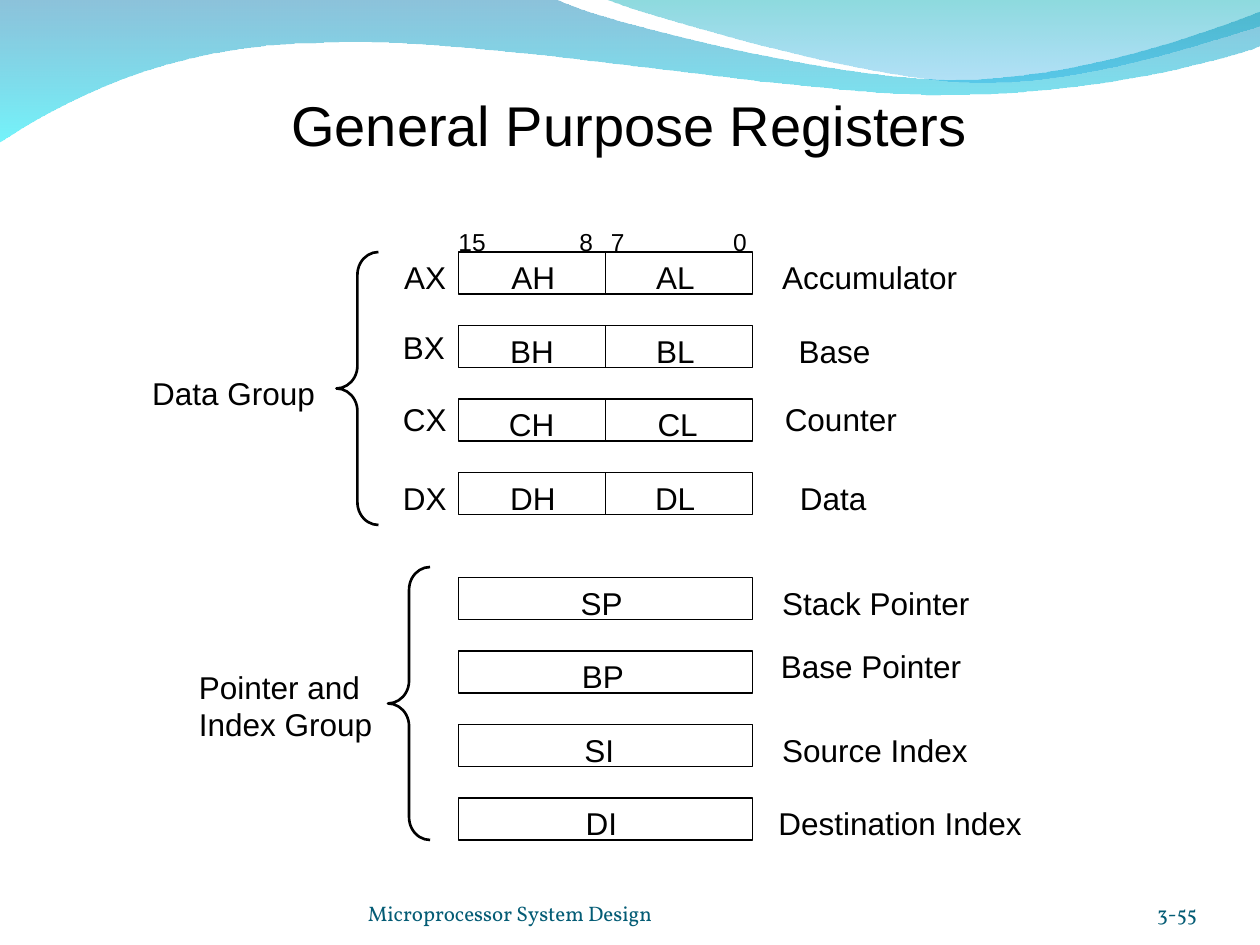
import pptx
import pptx.dml.color
import pptx.enum.shapes
import pptx.enum.text
import pptx.oxml
import pptx.oxml.ns
import pptx.util

Inches = pptx.util.Inches
Shapes = pptx.enum.shapes.MSO_SHAPE
Anchor = pptx.enum.text.MSO_ANCHOR
Align = pptx.enum.text.PP_ALIGN
AutoSize = pptx.enum.text.MSO_AUTO_SIZE

BODY = {"name": "Arial", "size": 18, "color": "000000"}
BIT = {**BODY, "size": 14}
TITLE = {**BODY, "size": 32}
FOOTER = {"name": "Vollkorn", "size": 12, "color": "045C75"}

REGISTER_LEFT, REGISTER_WIDTH, REGISTER_HEIGHT = 3.64, 7 / 3, 1 / 3
BRACE_WIDTH, BRACE_HEIGHT = 1 / 3, 13 / 6
ROW_PITCH = 7 / 12
DATA_TOP, POINTER_TOP = 2, 55 / 12

DATA_ROWS = [
    [("AX", 3.11, 0.53, 0), ("AH", 3.96, 0.54, 0), ("AL", 5.11, 0.5, 0), ("Accumulator", 6.11, 1.59, 0)],
    [("BX", 3.1, 0.53, -0.03), ("BH", 3.95, 0.54, 0), ("BL", 5.11, 0.5, 0), ("Base", 6.24, 0.77, 0)],
    [("CX", 3.1, 0.54, -0.04), ("CH", 3.94, 0.56, 0), ("CL", 5.12, 0.52, 0), ("Counter", 6.13, 1.09, -0.04)],
    [("DX", 3.1, 0.54, 0), ("DH", 3.95, 0.56, 0), ("DL", 5.1, 0.52, 0), ("Data", 6.25, 0.73, 0)],
]
POINTER_ROWS = [
    [("SP", 4.51, 0.53, 0), ("Stack Pointer", 6.11, 1.68, 0)],
    [("BP", 4.52, 0.53, 0), ("Base Pointer", 6.1, 1.63, -0.08)],
    [("SI", 4.54, 0.43, 0), ("Source Index", 6.11, 1.67, 0)],
    [("DI", 4.55, 0.45, 0), ("Destination Index", 6.08, 2.13, 0)],
]
BITS = [("15", 3.54, 0.41), ("8", 4.5, 0.31), ("7", 4.75, 0.31), ("0", 5.72, 0.31)]

LONG_WAVE = [
    [(0, -0.01)],
    [(4.4, -0.01)],
    [(4.76, 0.17), (6.64, 0.63), (7.58, 0.63)],
    [(8.53, 0.63), (9.58, 0.26), (10, 0.09)],
    [(10.01, 0.36)],
    [(9.83, 0.44), (8.7, 0.76), (7.46, 0.75)],
    [(6.22, 0.75), (3.82, 0.28), (2.57, 0.34)],
    [(1.29, 0.35), (0.46, 0.83), (-0.01, 1.13)],
]
SHORT_WAVE = [
    [(4.79, -0.01)],
    [(5.09, 0.11), (6.82, 0.62), (7.69, 0.65)],
    [(8.56, 0.69), (9.61, 0.32), (10, 0.21)],
    [(10, 0)],
]


def rgb(color):
    """Return the colour for a hex string."""
    return pptx.dml.color.RGBColor.from_string(color)


def xml_element(tag, attributes=""):
    """Return a new empty drawing element."""
    return pptx.oxml.parse_xml(f'<a:{tag} {pptx.oxml.ns.nsdecls("a")} {attributes}/>')


def bend_segments(wave, segments):
    """Join each three straight steps of a curved segment into one Bezier curve."""
    steps = iter(list(wave.element.spPr.iter(pptx.oxml.ns.qn("a:lnTo"))))
    for segment in segments:
        parts = [next(steps) for _ in segment]
        if len(parts) == 3:
            curve = xml_element("cubicBezTo")
            parts[0].addprevious(curve)
            for part in parts:
                curve.append(part[0])
                part.getparent().remove(part)


def add_wave(slide, segments, stops):
    """Add a wave filled from top to bottom with translucent (colour, opacity) stops."""
    points = [(Inches(x), Inches(y)) for segment in segments for x, y in segment]
    builder = slide.shapes.build_freeform(*points[0], scale=1.0)
    builder.add_line_segments(points[1:], close=True)
    wave = builder.convert_to_shape()
    bend_segments(wave, segments[1:])
    wave.shadow.inherit = False
    wave.line.fill.background()
    wave.fill.gradient()
    wave.fill.gradient_angle = 270
    for stop, (color, _) in zip(wave.fill.gradient_stops, stops):
        stop.color.rgb = rgb(color)
    colors = list(wave.element.spPr.iter(pptx.oxml.ns.qn("a:srgbClr")))
    for element, (_, opacity) in zip(colors, stops):
        element.append(xml_element("alpha", f'val="{opacity * 1000}"'))


def write_text(frame, text, style, align=Align.LEFT, **frame_format):
    """Fill a text frame with one paragraph per line and format it."""
    for key, value in frame_format.items():
        setattr(frame, key, value)
    frame.text = text
    for paragraph in frame.paragraphs:
        paragraph.alignment = align
        paragraph.font.name = style["name"]
        paragraph.font.size = pptx.util.Pt(style["size"])
        paragraph.font.color.rgb = rgb(style["color"])


def add_label(slide, text, left, top, width, height=0.4, style=BODY):
    """Add a label that stays on its lines."""
    label = slide.shapes.add_textbox(Inches(left), Inches(top), Inches(width), Inches(height))
    write_text(label.text_frame, text, style, word_wrap=True, margin_right=0,
               auto_size=AutoSize.SHAPE_TO_FIT_TEXT)


def add_footer(slide, text, left, width, align):
    """Add a footer text without margins."""
    footer = slide.shapes.add_textbox(Inches(left), Inches(6.95), Inches(width), Inches(0.4))
    write_text(footer.text_frame, text, FOOTER, align, word_wrap=True, vertical_anchor=Anchor.BOTTOM,
               margin_left=0, margin_right=0, margin_top=0, margin_bottom=0)


def add_register(slide, top, split):
    """Add a register box, divided into two bytes if split."""
    register = slide.shapes.add_shape(Shapes.RECTANGLE, Inches(REGISTER_LEFT), Inches(top),
                                      Inches(REGISTER_WIDTH), Inches(REGISTER_HEIGHT))
    register.shadow.inherit = False
    register.fill.solid()
    register.fill.fore_color.rgb = rgb("FFFFFF")
    lines = [register.line]
    if split:
        middle = Inches(REGISTER_LEFT + REGISTER_WIDTH / 2)
        divider = slide.shapes.add_connector(pptx.enum.shapes.MSO_CONNECTOR.STRAIGHT, middle, Inches(top),
                                             middle, Inches(top + REGISTER_HEIGHT))
        divider.element.spPr.append(xml_element("effectLst"))
        lines.append(divider.line)
    for line in lines:
        line.color.rgb = rgb("000000")
        line.width = pptx.util.Pt(0.75)


def add_group(slide, rows, first_top, split):
    """Add one register with its labels for each row."""
    for index, labels in enumerate(rows):
        top = first_top + index * ROW_PITCH
        add_register(slide, top, split)
        for text, left, width, offset in labels:
            add_label(slide, text, left, top + offset, width)


def add_brace(slide, left, top):
    """Add the brace that spans a register group."""
    brace = slide.shapes.add_shape(Shapes.LEFT_BRACE, Inches(left), Inches(top),
                                   Inches(BRACE_WIDTH), Inches(BRACE_HEIGHT))
    brace.shadow.inherit = False
    brace.adjustments[0] = 0.54
    brace.fill.background()
    brace.line.color.rgb = rgb("000000")
    brace.line.width = pptx.util.Pt(1.5)


def add_title(slide, text):
    """Place and format the slide title."""
    title = slide.shapes.title
    place = {"left": 0.58, "top": 0.67, "width": 8.83, "height": 0.64}
    for key, value in place.items():
        setattr(title, key, Inches(value))
    write_text(title.text_frame, text, TITLE, Align.CENTER, word_wrap=True, vertical_anchor=Anchor.TOP,
               auto_size=AutoSize.SHAPE_TO_FIT_TEXT)


def main():
    """Build the register slide and save it."""
    deck = pptx.Presentation()
    deck.slide_width, deck.slide_height = Inches(10), Inches(7.5)
    slide = deck.slides.add_slide(deck.slide_layouts[5])
    add_wave(slide, LONG_WAVE, [("0079AF", 45), ("00EBF8", 55)])
    add_wave(slide, SHORT_WAVE, [("00ADB6", 45), ("009BE5", 30)])
    add_title(slide, "General Purpose Registers")
    add_group(slide, DATA_ROWS, DATA_TOP, split=True)
    add_group(slide, POINTER_ROWS, POINTER_TOP, split=False)
    for text, left, width in BITS:
        add_label(slide, text, left, 1.75, width, 0.34, BIT)
    add_brace(slide, 2.67, 2)
    add_brace(slide, 3.08, 4.5)
    add_label(slide, "Data Group", 1.11, 2.92, 1.49)
    add_label(slide, "Pointer and\nIndex Group", 1.48, 5.25, 1.57, 0.7)
    add_footer(slide, "Microprocessor System Design", 2.92, 3.67, Align.LEFT)
    add_footer(slide, "3-55", 8.67, 0.83, Align.RIGHT)
    deck.save("out.pptx")


if __name__ == "__main__":
    main()
